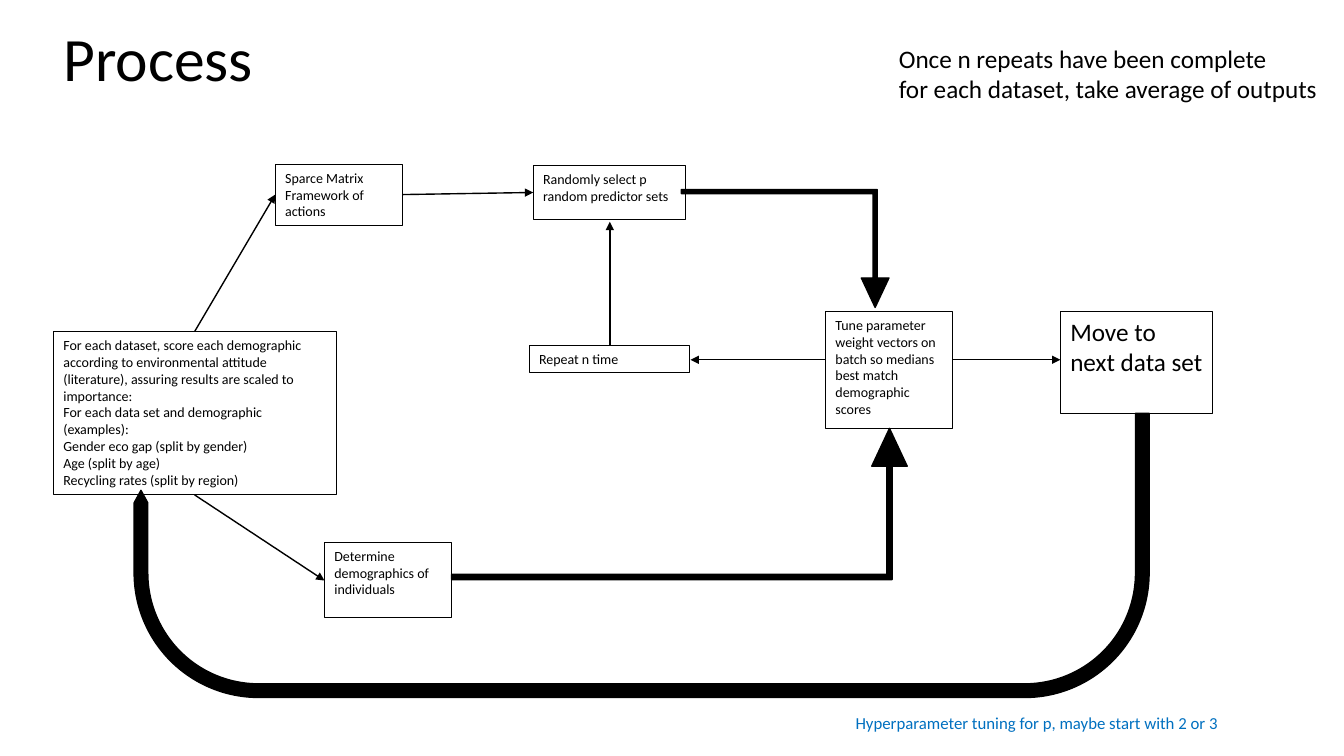
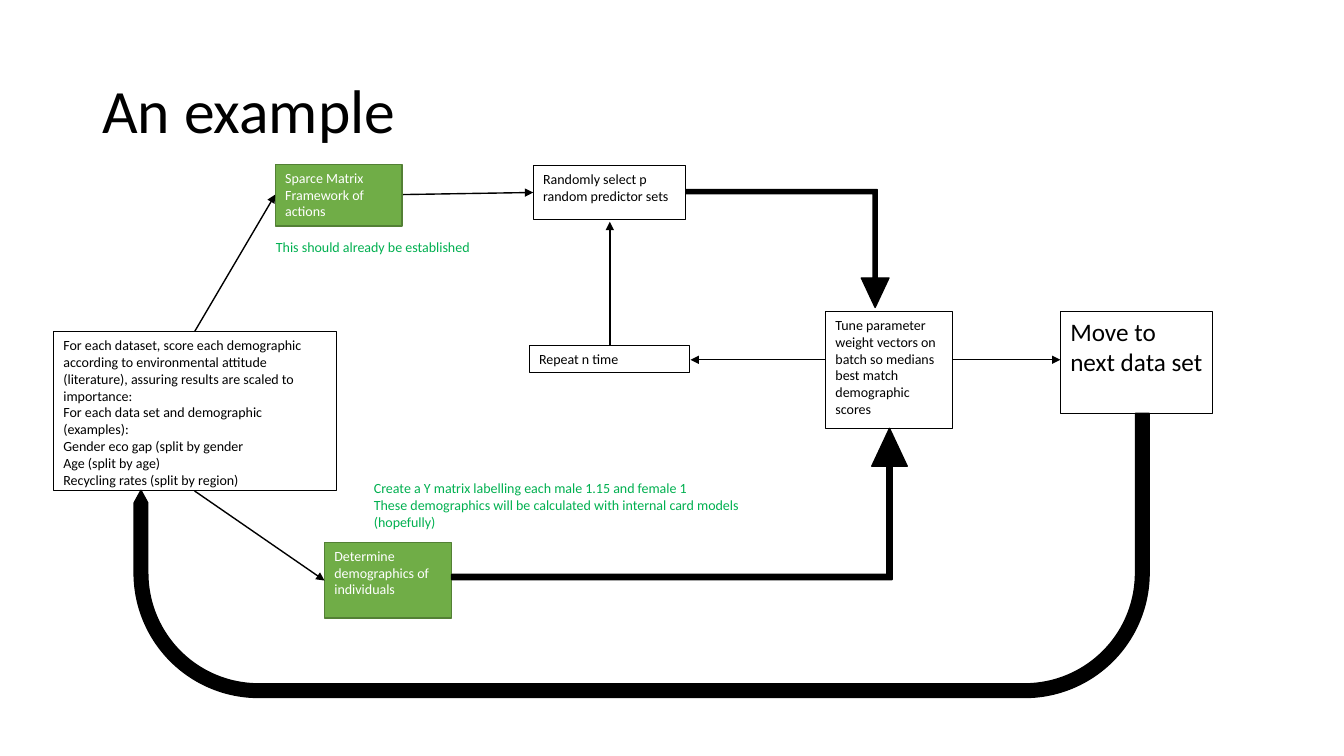
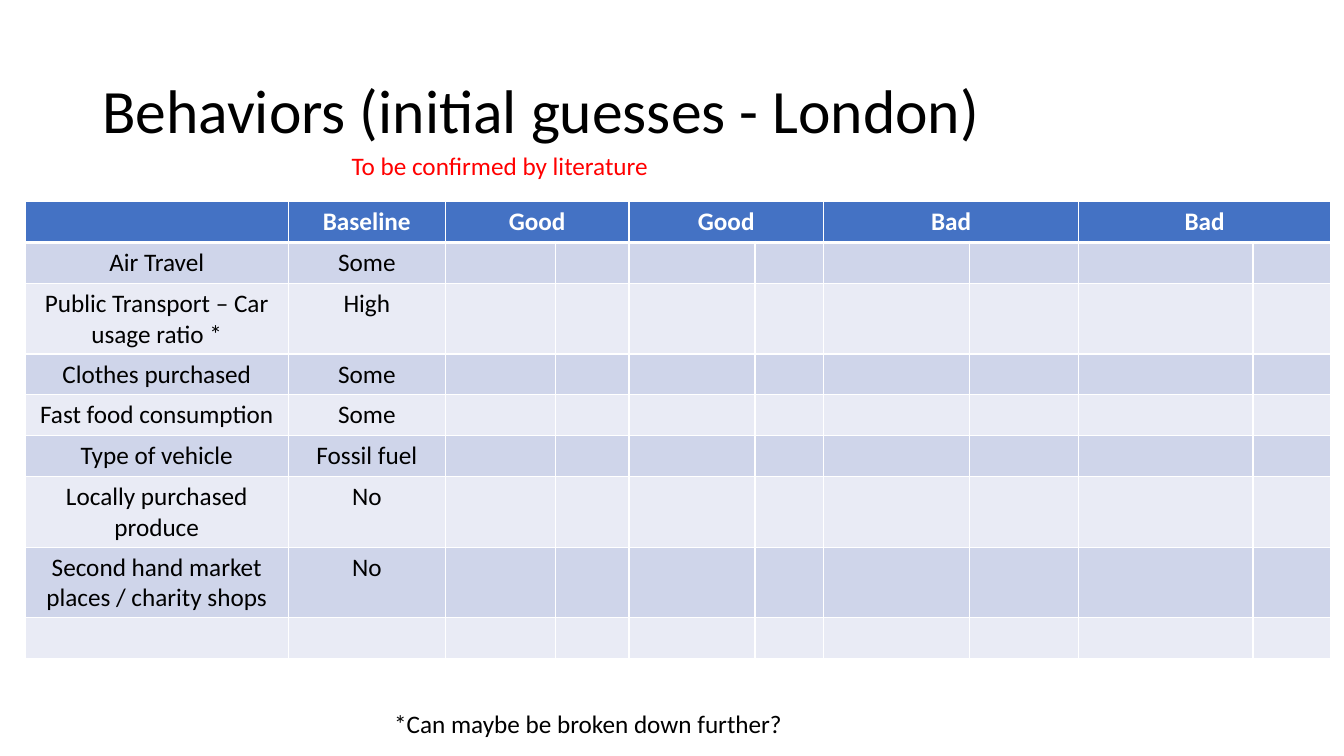
"""Build three slides on tuning behaviour scores by demographic."""
import lxml.etree
import pptx
import pptx.dml.color
import pptx.enum.shapes
import pptx.enum.text
import pptx.oxml.ns
import pptx.util

Pt = pptx.util.Pt
qn = pptx.oxml.ns.qn
Shapes = pptx.enum.shapes.MSO_SHAPE
Align = pptx.enum.text.PP_ALIGN
Anchor = pptx.enum.text.MSO_ANCHOR

BLACK, WHITE = "000000", "FFFFFF"
GREEN, GREEN_EDGE, GREEN_NOTE = "70AD47", "538035", "00B050"
BLUE_NOTE, RED_NOTE = "0070C0", "FF0000"
HEADER, BANDS = "4472C4", ("CFD5EA", "E9EBF5")


def rgb(value):
    return pptx.dml.color.RGBColor.from_string(value)


def write_text(frame, text, size=10, color=BLACK, bold=False, align=Align.LEFT, spacing=None):
    frame.text = text
    for para in frame.paragraphs:
        para.alignment = align
        para.line_spacing = spacing
        for span in para.runs:
            span.font.name = "Calibri"
            span.font.size = Pt(size)
            span.font.bold = bold
            span.font.color.rgb = rgb(color)


def set_border(cell, side, width):
    line = lxml.etree.SubElement(cell._tc.get_or_add_tcPr(), qn("a:ln" + side), w=str(Pt(width)))
    fill = lxml.etree.SubElement(line, qn("a:solidFill"))
    lxml.etree.SubElement(fill, qn("a:srgbClr"), val=WHITE)


class SlideBuilder:
    def __init__(self, deck):
        self.deck = deck
        self.page = None

    def new_page(self, title, left=66, top=28.8):
        self.page = self.deck.slides.add_slide(self.deck.slide_layouts[6])
        box = self.page.shapes.add_textbox(Pt(left), Pt(top), Pt(828), Pt(104.4))
        box.text_frame.word_wrap = True
        box.text_frame.vertical_anchor = Anchor.MIDDLE
        write_text(box.text_frame, title, size=44, spacing=0.9)

    def note(self, text, left, top, width, height, **style):
        box = self.page.shapes.add_textbox(Pt(left), Pt(top), Pt(width), Pt(height))
        box.text_frame.word_wrap = False
        write_text(box.text_frame, text, **style)

    def shape(self, kind, left, top, width, height, fill=None, edge=BLACK, weight=1):
        shape = self.page.shapes.add_shape(kind, Pt(left), Pt(top), Pt(width), Pt(height))
        shape.shadow.inherit = False
        if fill:
            shape.fill.solid()
            shape.fill.fore_color.rgb = rgb(fill)
        else:
            shape.fill.background()
        shape.line.color.rgb = rgb(edge)
        shape.line.width = Pt(weight)
        return shape

    def step(self, text, left, top, width, height, size=10, color=BLACK,
             fill=None, edge=BLACK, weight=0.75):
        box = self.shape(Shapes.RECTANGLE, left, top, width, height, fill, edge, weight)
        frame = box.text_frame
        frame.word_wrap = True
        frame.vertical_anchor = Anchor.TOP
        frame.margin_right = Pt(5)
        write_text(frame, text, size=size, color=color)

    def block_arrow(self, kind, left, top, width, height, adjustments, turned=False, mirrored=False):
        arrow = self.shape(kind, left, top, width, height, fill=BLACK)
        for index, value in enumerate(adjustments):
            arrow.adjustments[index] = value
        arrow.rotation = 180 if turned else 0
        if mirrored:
            arrow._element.spPr.find(qn("a:xfrm")).set("flipH", "1")

    def arrow(self, x1, y1, x2, y2):
        connector = self.page.shapes.add_connector(
            pptx.enum.shapes.MSO_CONNECTOR.STRAIGHT, Pt(x1), Pt(y1), Pt(x2), Pt(y2))
        connector.line.color.rgb = rgb(BLACK)
        connector.line.width = Pt(1)
        lxml.etree.SubElement(connector.line._get_or_add_ln(), qn("a:tailEnd"), type="triangle")
        lxml.etree.SubElement(connector._element.spPr, qn("a:effectLst"))

    def table(self, left, top, widths, row_height, rows):
        grid = self.page.shapes.add_table(
            len(rows), len(widths), Pt(left), Pt(top), Pt(sum(widths)),
            Pt(row_height * len(rows))).table
        for column, width in zip(grid.columns, widths):
            column.width = Pt(width)
        for r, row in enumerate(rows):
            grid.rows[r].height = Pt(row_height)
            for c in range(len(widths)):
                cell = grid.cell(r, c)
                for side in "LRTB":
                    thick = (r, side) in ((0, "B"), (1, "T"))
                    set_border(cell, side, 3 if thick else 1)
                cell.fill.solid()
                cell.fill.fore_color.rgb = rgb(BANDS[(r - 1) % 2] if r else HEADER)
                write_text(cell.text_frame, row[c] if c < len(row) else "", size=18,
                           color=BLACK if r else WHITE, bold=r == 0, align=Align.CENTER)
        for c in range(2, len(widths), 2):
            grid.cell(0, c).merge(grid.cell(0, c + 1))


def draw_process(slide, gender_line, score_height, ready_style, select_style):
    bend = (0.034, 0.117, 0.25)
    score_top = 236.9
    slide.arrow(287.3, 139, 380.9, 137.5)
    slide.step("Sparce Matrix Framework of actions", 196.6, 117.4, 90.7, 43.9, **ready_style)
    slide.step("For each dataset, score each demographic according to environmental attitude "
               "(literature), assuring results are scaled to importance:\n"
               "For each data set and demographic (examples):\n"
               f"{gender_line}\nAge (split by age)\nRecycling rates (split by region)",
               38.2, score_top, 202, score_height)
    slide.step("Tune parameter weight vectors on batch so medians best match demographic scores",
               589.7, 222.5, 90.7, 83.5)
    slide.step("Determine demographics of individuals", 231.8, 387.4, 90.7, 54, **ready_style)
    slide.arrow(139, score_top + score_height, 231.8, 414.7)
    slide.block_arrow(Shapes.BENT_UP_ARROW, 322.6, 306, 325.4, 108, bend)
    slide.block_arrow(Shapes.BENT_UP_ARROW, 486.7, 135.4, 148.3, 84.2, bend,
                      turned=True, mirrored=True)
    slide.step("Randomly select p random predictor sets", 380.9, 118.1, 109, 38.9, **select_style)
    slide.arrow(139, score_top, 196.6, 139)
    slide.step("Repeat n time", 378, 247, 114.8, 19.4)
    slide.arrow(589.7, 257, 493.2, 257)
    slide.arrow(435.6, 247, 435.6, 158.4)
    slide.arrow(680.4, 257, 757.4, 257)
    slide.step("Move to next data set", 757.4, 222.5, 109, 72.7, size=18)
    slide.block_arrow(Shapes.U_TURN_ARROW, 95.8, 295.2, 725, 203,
                      (0.25, 0.024, 0.044, 0.438, 0.729), turned=True)


deck = pptx.Presentation()
deck.slide_width, deck.slide_height = Pt(960), Pt(540)
slide = SlideBuilder(deck)

slide.new_page("Process", left=38.2, top=-7.9)
slide.note("Hyperparameter tuning for p, maybe start with 2 or 3", 604, 505.5, 276, 21.8,
           size=12, color=BLUE_NOTE)
draw_process(slide, "Gender eco gap (split by gender)", 116.6, {}, {})
slide.note("Once n repeats have been complete\vfor each dataset, take average of outputs",
           635, 27.4, 316.8, 50.9, size=18)

slide.new_page("An example")
draw_process(slide, "Gender eco gap (split by gender", 113.8,
             {"color": WHITE, "fill": GREEN, "edge": GREEN_EDGE, "weight": 1},
             {"fill": WHITE, "weight": 1})
slide.note("Create a Y matrix labelling each male 1.15 and female 1\n"
           "These demographics will be calculated with internal card models\v(hopefully)",
           260, 339, 276.5, 43.9, color=GREEN_NOTE)
slide.note("This should already be established", 190, 167, 154.8, 19.4, color=GREEN_NOTE)

slide.new_page("Behaviors (initial guesses - London)")
slide.table(18, 144, (187.9, 112.3, 78.5, 52.6, 90, 49, 104.4, 77.8, 124.6, 55.4), 29.2, (
    ("", "Baseline", "Good", "", "Good", "", "Bad", "", "Bad"),
    ("Air Travel", "Some"),
    ("Public Transport – Car usage ratio *", "High"),
    ("Clothes purchased", "Some"),
    ("Fast food consumption", "Some"),
    ("Type of vehicle", "Fossil fuel"),
    ("Locally purchased produce", "No"),
    ("Second hand market places / charity shops", "No"),
    (),
))
slide.note("*Can maybe be broken down further?", 274.5, 502.6, 295.2, 28.8, size=18)
slide.note("To be confirmed by literature", 244.1, 103.7, 229, 28.8, size=18, color=RED_NOTE)

deck.save("out.pptx")
